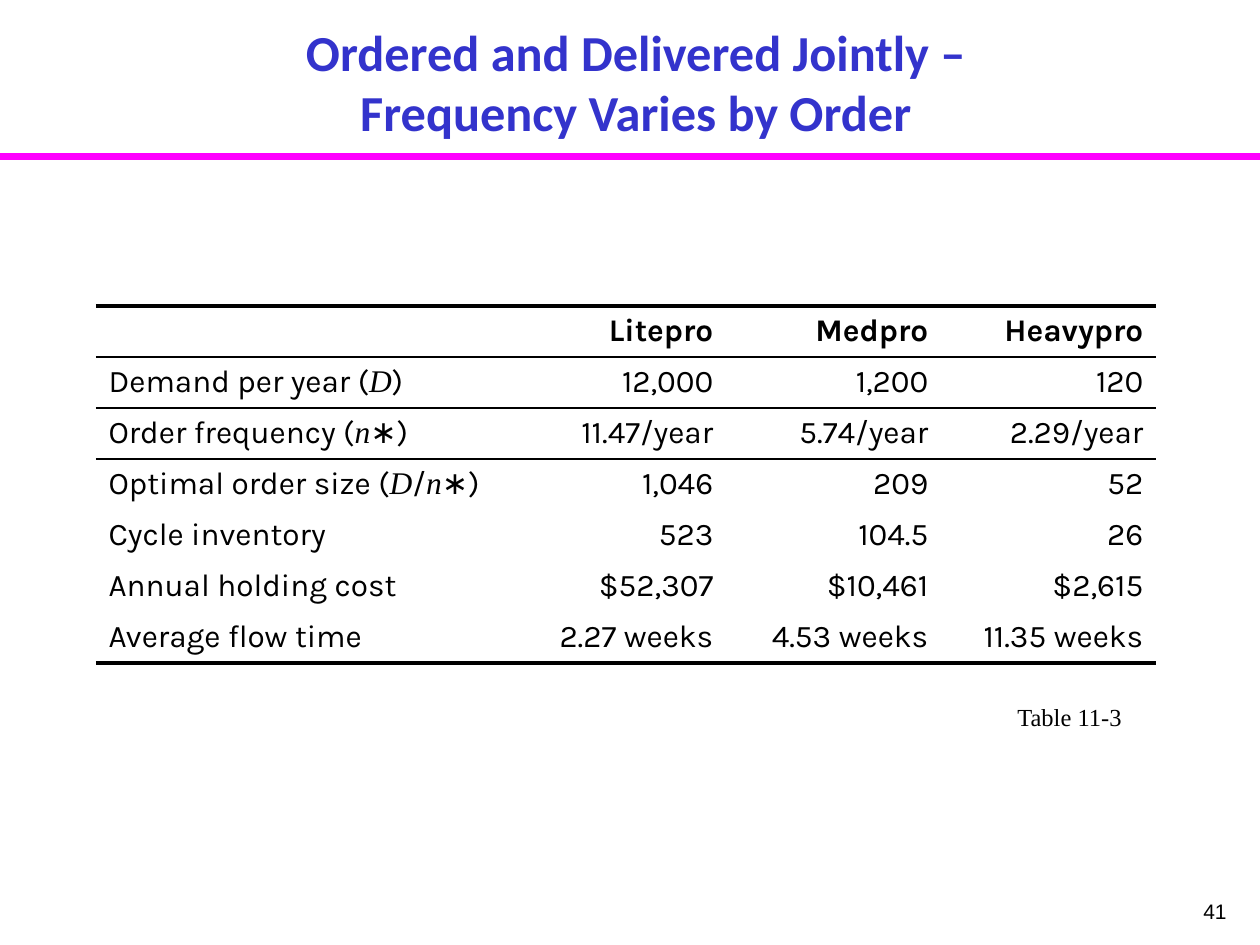
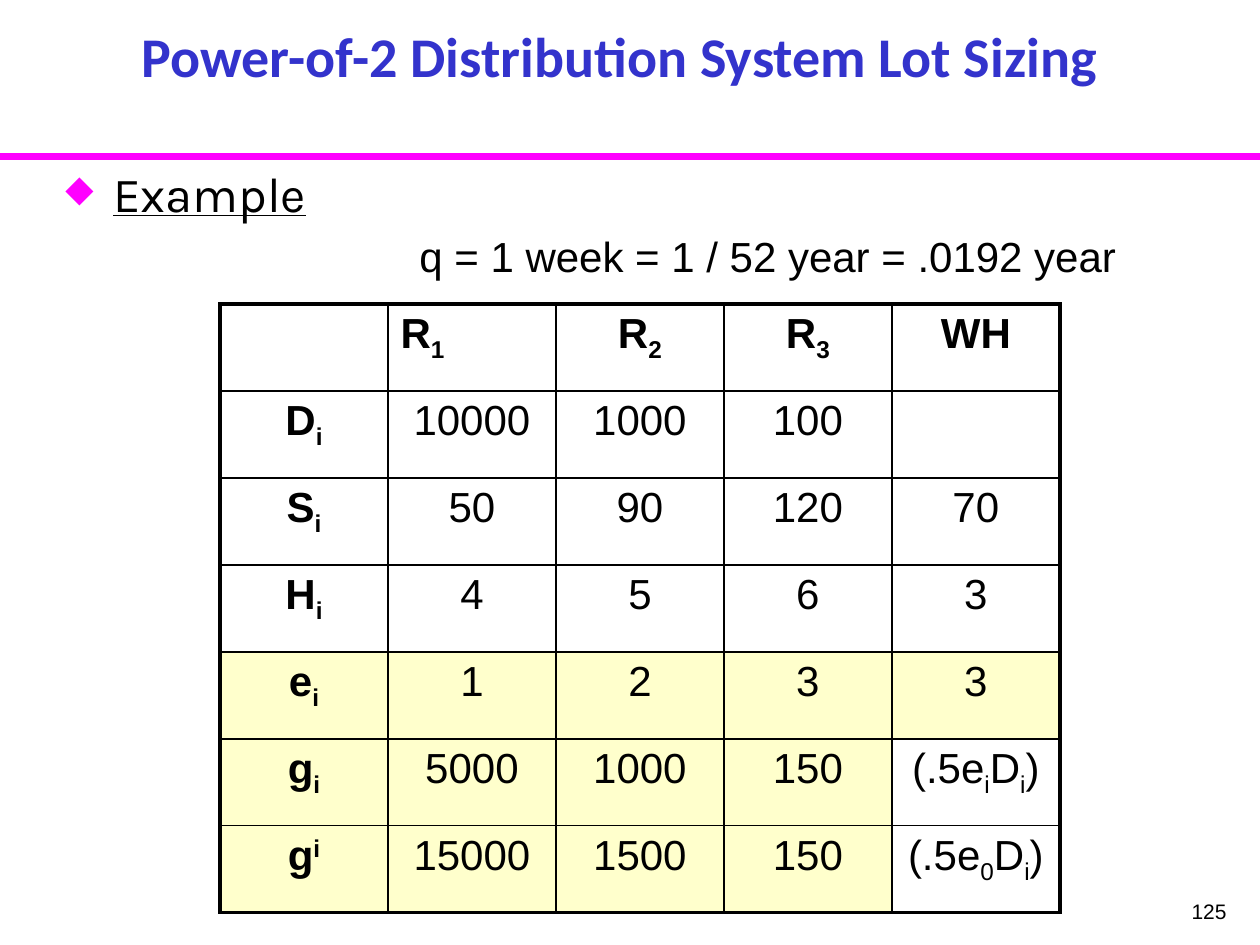
"""Build two lot-sizing slides: jointly delivered orders and power-of-2 distribution."""
from lxml import etree
from pptx import Presentation
from pptx.dml.color import RGBColor
from pptx.enum.shapes import MSO_CONNECTOR
from pptx.enum.text import MSO_ANCHOR, PP_ALIGN
from pptx.oxml.ns import qn
from pptx.util import Pt

PX = 914400 // 126
BLACK = RGBColor(0x00, 0x00, 0x00)
BLUE = RGBColor(0x33, 0x33, 0xCC)
MAGENTA = RGBColor(0xFF, 0x00, 0xFF)
CREAM = RGBColor(0xFF, 0xFF, 0xCC)
LEFT, CENTER, RIGHT = PP_ALIGN.LEFT, PP_ALIGN.CENTER, PP_ALIGN.RIGHT
TOP, MIDDLE, BOTTOM = MSO_ANCHOR.TOP, MSO_ANCHOR.MIDDLE, MSO_ANCHOR.BOTTOM
STRAIGHT = MSO_CONNECTOR.STRAIGHT
NO_STYLE = "{2D5ABB26-0587-4C30-8999-92F81FD0307C}"


def write(holder, text, size=18, font="Arial", color=BLACK, bold=False, underline=False,
          align=LEFT, anchor=TOP, baseline=0, new_paragraph=False):
    """Write text; parts between bars are shifted by baseline, or else italic serif."""
    frame = holder.text_frame
    frame.word_wrap = True
    frame.vertical_anchor = anchor
    paragraph = frame.add_paragraph() if new_paragraph else frame.paragraphs[0]
    paragraph.alignment = align
    for index, part in enumerate(text.split("|")):
        run = paragraph.add_run()
        run.text = part
        run.font.size = Pt(size)
        run.font.name = font
        run.font.bold = bold
        run.font.underline = underline
        run.font.color.rgb = color
        if index % 2 and baseline:
            run.font._element.set("baseline", str(baseline * 1000))
        elif index % 2:
            run.font.name = "Times New Roman"
            run.font.italic = True
    return paragraph


def set_borders(cell, **widths):
    """Draw black cell borders, given in points for L, R, T and B."""
    properties = cell._tc.get_or_add_tcPr()
    sides = [side for side in "LRTB" if side in widths]
    for position, side in enumerate(sides):
        line = etree.Element(qn(f"a:ln{side}"), w=str(Pt(widths[side])))
        fill = etree.SubElement(line, qn("a:solidFill"))
        etree.SubElement(fill, qn("a:srgbClr"), val=str(BLACK))
        properties.insert(position, line)


prs = Presentation()
prs.slide_width, prs.slide_height = 1260 * PX, 945 * PX

SLIDES = [
    ("Ordered and Delivered Jointly – Frequency Varies by Order", 28.8, (242, 53, 788, 95), "41"),
    ("Power-of-2 Distribution System Lot Sizing", 32, (84, 0, 1071, 95), "125"),
]
for heading, heading_size, heading_box, page in SLIDES:
    slide = prs.slides.add_slide(prs.slide_layouts[6])
    rule = slide.shapes.add_connector(STRAIGHT, 0, 157 * PX, 1260 * PX, 157 * PX)
    rule.line.color.rgb = MAGENTA
    rule.line.width = Pt(4)
    etree.SubElement(rule._element.spPr, qn("a:effectLst"))
    title = slide.shapes.add_textbox(*[length * PX for length in heading_box])
    write(title, heading, heading_size, "Calibri", BLUE, bold=True, align=CENTER, anchor=BOTTOM)
    page_number = slide.shapes.add_textbox(977 * PX, 892 * PX, 262 * PX, 53 * PX)
    write(page_number, page, 12, align=RIGHT)

joint_slide, power_slide = prs.slides

JOINT_ROWS = [
    ("", "Litepro", "Medpro", "Heavypro"),
    ("Demand per year (|D|)", "12,000", "1,200", "120"),
    ("Order frequency (|n|∗)", "11.47/year", "5.74/year", "2.29/year"),
    ("Optimal order size (|D|/|n|∗)", "1,046", "209", "52"),
    ("Cycle inventory", "523", "104.5", "26"),
    ("Annual holding cost", "$52,307", "$10,461", "$2,615"),
    ("Average flow time", "2.27 weeks", "4.53 weeks", "11.35 weeks"),
]
JOINT_BORDERS = {0: {"T": 2.25, "B": 1.5}, 1: {"T": 1.5, "B": 1.5}, 2: {"T": 1.5}, 6: {"B": 2.25}}

POWER_ROWS = [
    ("", "R|1", "R|2", "R|3", "WH"),
    ("D|i", "10000", "1000", "100", ""),
    ("S|i", "50", "90", "120", "70"),
    ("H|i", "4", "5", "6", "3"),
    ("e|i", "1", "2", "3", "3"),
    ("g|i", "5000", "1000", "150", "(.5e|i|D|i|)"),
    ("g|i", "15000", "1500", "150", "(.5e|0|D|i|)"),
]

joint_table = joint_slide.shapes.add_table(7, 4, 96 * PX, 306 * PX, 1060 * PX, 357 * PX).table

example = power_slide.shapes.add_textbox(53 * PX, 157 * PX, 1144 * PX, 168 * PX)
example_line = write(example, "Example", 28, "Karla", underline=True)
bullet = example_line._p.get_or_add_pPr()
bullet.set("marL", str(48 * PX))
bullet.set("indent", str(-48 * PX))
bullet_color = etree.SubElement(bullet, qn("a:buClr"))
etree.SubElement(bullet_color, qn("a:srgbClr"), val=str(MAGENTA))
etree.SubElement(bullet, qn("a:buSzPct"), val="75000")
etree.SubElement(bullet, qn("a:buChar"), char="◆")
base_period = write(example, "q = 1 week = 1 / 52 year = .0192 year", 24, new_paragraph=True)
base_period.space_before = Pt(5)
base_period._p.get_or_add_pPr().set("marL", str(354 * PX))

power_table = power_slide.shapes.add_table(7, 5, 220 * PX, 304 * PX, 840 * PX, 609 * PX).table

for table, widths, height in [(joint_table, [415] + [215] * 3, 51), (power_table, [168] * 5, 87)]:
    table.first_row = table.horz_banding = False
    table._tbl.tblPr.find(qn("a:tableStyleId")).text = NO_STYLE
    for column, width in zip(table.columns, widths):
        column.width = width * PX
    for row in table.rows:
        row.height = height * PX

for r, values in enumerate(JOINT_ROWS):
    for c, value in enumerate(values):
        cell = joint_table.cell(r, c)
        cell.fill.background()
        if value:
            write(cell, value, 18, "Karla", bold=r == 0, align=RIGHT if c else LEFT)
        set_borders(cell, **JOINT_BORDERS.get(r, {}))

for r, values in enumerate(POWER_ROWS):
    for c, value in enumerate(values):
        cell = power_table.cell(r, c)
        if r == 4 or (r > 4 and c < 4):
            cell.fill.solid()
            cell.fill.fore_color.rgb = CREAM
        else:
            cell.fill.background()
        if value:
            write(cell, value, 24, bold=r == 0 or c == 0, anchor=MIDDLE,
                  align=LEFT if (r, c) == (0, 1) else CENTER,
                  baseline=30 if (r, c) == (6, 0) else -25)
        set_borders(cell, L=2.25 if c == 0 else 1, R=2.25 if c == 4 else 1,
                    T=2.25 if r == 0 else 1, B=2.25 if r == 6 else 1)

table_label = joint_slide.shapes.add_textbox(1005 * PX, 696 * PX, 139 * PX, 43 * PX)
write(table_label, "Table 11-3", 14, "Times New Roman")

prs.save("out.pptx")
